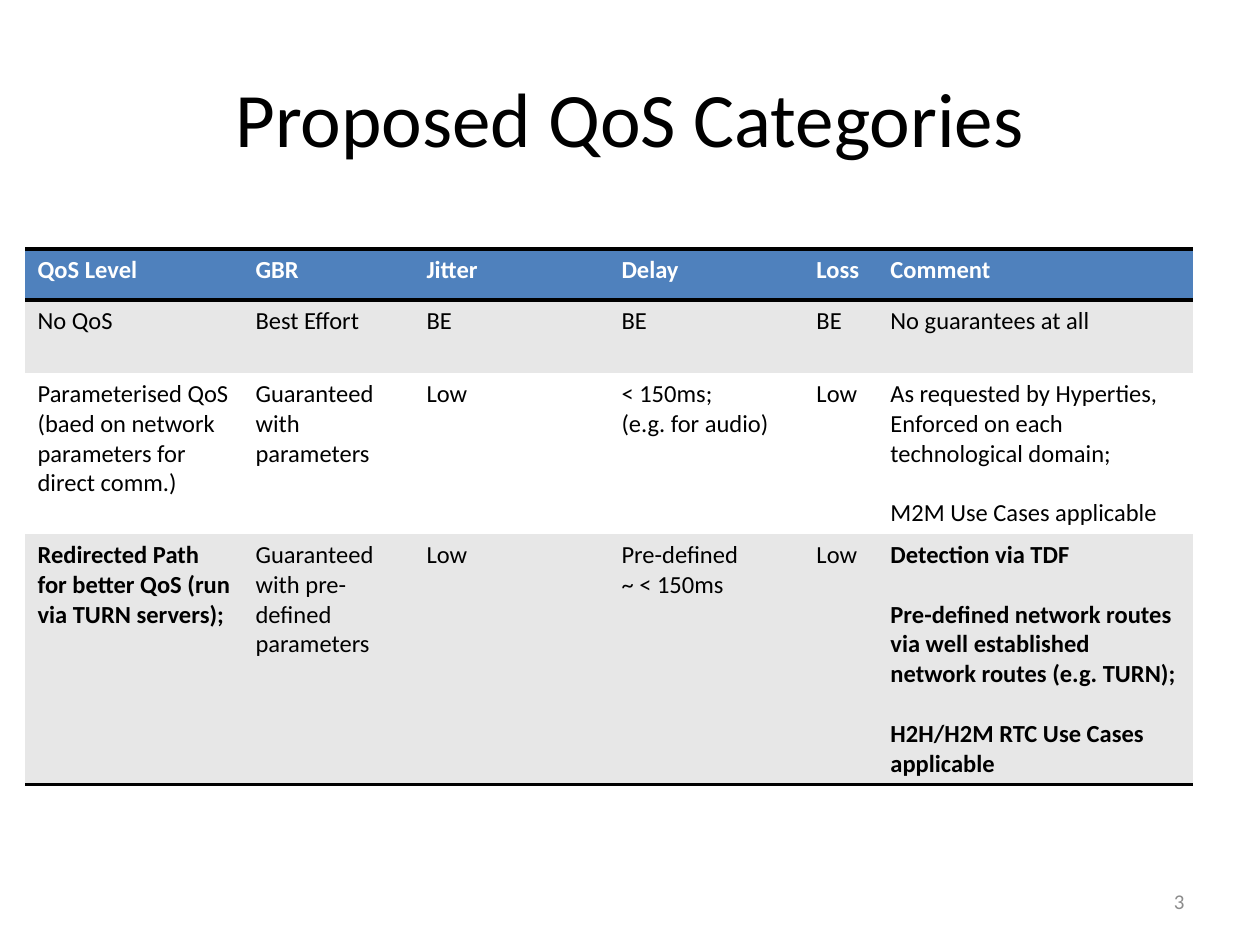
"""Build a slide with a table of proposed QoS categories."""
from lxml import etree
from pptx import Presentation
from pptx.dml.color import RGBColor
from pptx.enum.text import MSO_ANCHOR, PP_ALIGN
from pptx.oxml.ns import qn
from pptx.util import Pt

MIDDLE = MSO_ANCHOR.MIDDLE
LEFT, CENTER, RIGHT = PP_ALIGN.LEFT, PP_ALIGN.CENTER, PP_ALIGN.RIGHT
PX = 914400 // 126
BLACK, WHITE, BLUE, GRAY = "000000", "FFFFFF", "4F81BD", "E7E7E7"


def style(frame, size, color, bold=False, align=LEFT):
    for para in frame.paragraphs:
        para.alignment = align
        for run in para.runs:
            font = run.font
            font.name, font.size, font.bold = "Calibri", Pt(size), bold
            font.color.rgb = RGBColor.from_string(color)


def border(cell, side, color=None):
    line = etree.SubElement(cell._tc.get_or_add_tcPr(), qn("a:ln" + side))
    if color:
        line.set("w", str(Pt(2)))
        fill = etree.SubElement(line, qn("a:solidFill"))
        etree.SubElement(fill, qn("a:srgbClr"), val=color)
    else:
        line.set("w", "0")
        etree.SubElement(line, qn("a:noFill"))


deck = Presentation()
deck.slide_width, deck.slide_height = 1260 * PX, 945 * PX
slide = deck.slides.add_slide(deck.slide_layouts[5])

title = slide.shapes.title
title.left, title.top, title.width, title.height = [
    n * PX for n in (63, 38, 1134, 158)]
title.text_frame.text = "Proposed QoS Categories"
title.text_frame.vertical_anchor = MIDDLE
style(title.text_frame, 44, BLACK, align=CENTER)

page = slide.shapes.add_textbox(*[n * PX for n in (903, 876, 294, 50)])
page.text_frame.text = "3"
page.text_frame.word_wrap = True
page.text_frame.vertical_anchor = MIDDLE
style(page.text_frame, 12, "8C8C8C", align=RIGHT)

rows = [
    ["QoS Level", "GBR", "Jitter", "Delay", "Loss", "Comment"],
    ["No QoS", "Best Effort", "BE", "BE", "BE", "No guarantees at all"],
    ["Parameterised QoS\v(baed on network parameters for direct comm.)",
     "Guaranteed with parameters", "Low",
     "< 150ms; \v(e.g. for audio)", "Low",
     "As requested by Hyperties, Enforced on each technological domain;\n"
     "M2M Use Cases applicable"],
    ["Redirected Path for better QoS (run via TURN servers);",
     "Guaranteed with pre-defined parameters", "Low",
     "Pre-defined\n~ < 150ms", "Low",
     "Detection via TDF\n"
     "Pre-defined network routes via well established network routes "
     "(e.g. TURN);\n"
     "H2H/H2M RTC Use Cases applicable"],
]
widths = [218, 171, 195, 195, 74, 315]
heights = [51, 73, 161, 251]
fills = [BLUE, GRAY, WHITE, GRAY]
last = len(rows) - 1
note = len(widths) - 1

table = slide.shapes.add_table(
    len(rows), len(widths), 25 * PX, 249 * PX,
    sum(widths) * PX, sum(heights) * PX).table
table.first_row = table.horz_banding = False
for col, width in zip(table.columns, widths):
    col.width = width * PX
for r, texts in enumerate(rows):
    table.rows[r].height = heights[r] * PX
    for c, text in enumerate(texts):
        cell = table.cell(r, c)
        cell.text_frame.text = text
        bold = r == 0 or (r == last and c in (0, note))
        style(cell.text_frame, 14, BLACK if r else WHITE, bold)
        if c == note:
            for para in cell.text_frame.paragraphs[1:]:
                para.space_before = Pt(17)
        border(cell, "L")
        border(cell, "R")
        border(cell, "T", BLACK if r < 2 else None)
        border(cell, "B", BLACK if r in (0, last) else None)
        cell.fill.solid()
        cell.fill.fore_color.rgb = RGBColor.from_string(fills[r])

deck.save("out.pptx")
